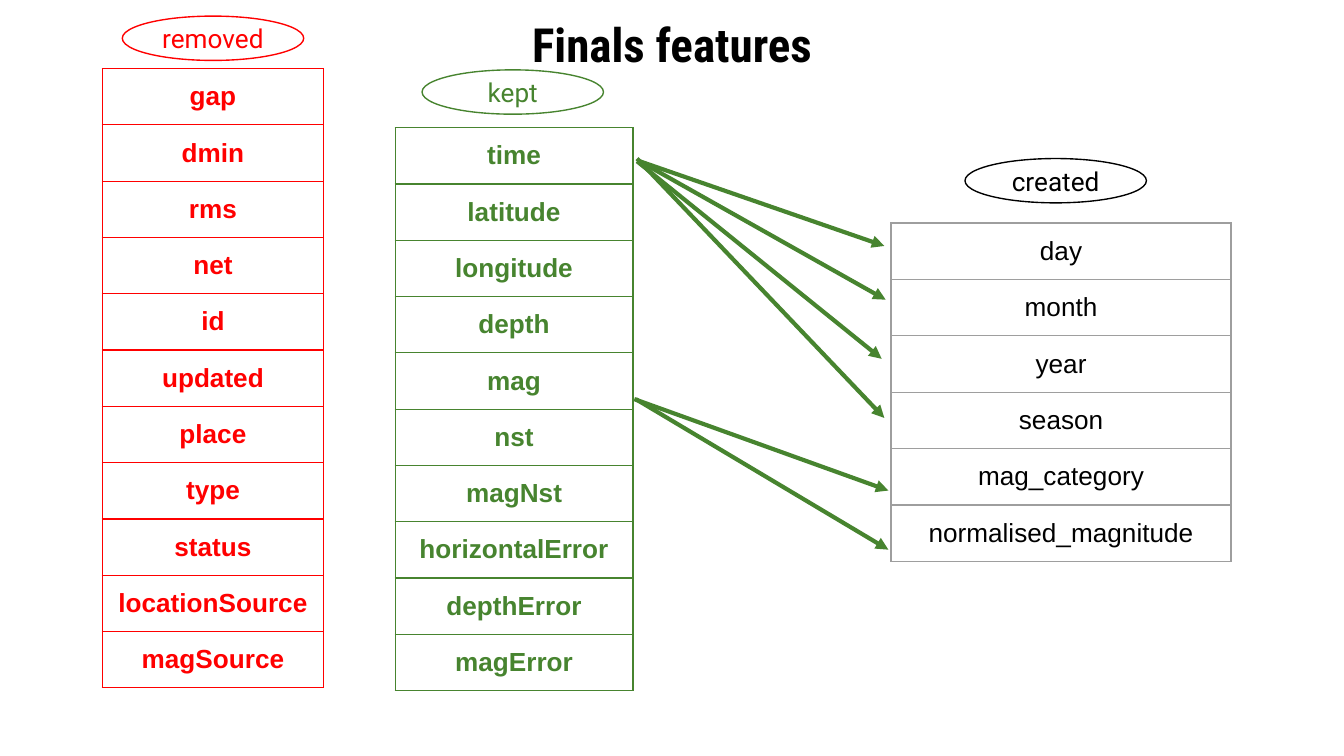
from dataclasses import dataclass

from lxml.etree import SubElement
from pptx import Presentation
from pptx.dml.color import RGBColor
from pptx.enum.shapes import MSO_CONNECTOR, MSO_SHAPE
from pptx.enum.text import MSO_ANCHOR, MSO_AUTO_SIZE, PP_ALIGN
from pptx.oxml.ns import qn
from pptx.util import Inches, Pt


@dataclass(frozen=True)
class Theme:
    black: str = "000000"
    red: str = "FF0000"
    green: str = "47842F"
    grey: str = "9E9E9E"
    title_font: str = "Roboto Condensed"
    label_font: str = "Roboto"
    table_font: str = "Arial"
    title_size: float = 25.2
    body_size: float = 14
    outline: float = 0.75
    arrow: float = 2.25
    inset: float = 0.1


THEME = Theme()

REMOVED = ["gap", "dmin", "rms", "net", "id", "updated", "place", "type",
           "status", "locationSource", "magSource"]
KEPT = ["time", "latitude", "longitude", "depth", "mag", "nst", "magNst",
        "horizontalError", "depthError", "magError"]
CREATED = ["day", "month", "year", "season", "mag_category",
           "normalised_magnitude"]

TIME_ARROWS = [((4.76, 1.2), (6.58, 1.83)), ((4.76, 1.2), (6.59, 2.23)),
               ((4.74, 1.2), (6.56, 2.67)), ((4.74, 1.18), (6.58, 3.11))]
MAG_ARROWS = [((4.72, 2.97), (6.61, 3.65)), ((4.73, 2.97), (6.61, 4.09))]


def write_centred(frame, text, font, size, color, bold=False):
    paragraph = frame.paragraphs[0]
    paragraph.alignment = PP_ALIGN.CENTER
    run = paragraph.add_run()
    run.text = text
    run.font.name = font
    run.font.size = Pt(size)
    run.font.bold = bold
    run.font.color.rgb = RGBColor.from_string(color)


def set_insets(frame):
    frame.margin_left = frame.margin_right = Inches(THEME.inset)
    frame.margin_top = frame.margin_bottom = Inches(THEME.inset)


def add_title(slide, text):
    title = slide.shapes.title
    title.left, title.top = Inches(0.5), Inches(0.12)
    title.width, title.height = Inches(9), Inches(0.41)
    frame = title.text_frame
    frame.auto_size = MSO_AUTO_SIZE.NONE
    frame.vertical_anchor = MSO_ANCHOR.MIDDLE
    set_insets(frame)
    write_centred(frame, text, THEME.title_font, THEME.title_size,
                  THEME.black, bold=True)


def set_borders(cell, color):
    properties = cell._tc.get_or_add_tcPr()
    for side in ("a:lnL", "a:lnR", "a:lnT", "a:lnB"):
        border = SubElement(properties, qn(side), w=str(Pt(THEME.outline)))
        fill = SubElement(border, qn("a:solidFill"))
        SubElement(fill, qn("a:srgbClr"), val=color)


def add_feature_table(slide, features, left, top, width, row_height,
                      text_color, border_color, bold):
    table = slide.shapes.add_table(
        len(features), 1, Inches(left), Inches(top), Inches(width),
        Inches(row_height * len(features))).table
    table.first_row = table.horz_banding = False
    for row, feature in zip(table.rows, features):
        row.height = Inches(row_height)
        cell = row.cells[0]
        set_insets(cell)
        set_borders(cell, border_color)
        cell.fill.background()
        write_centred(cell.text_frame, feature, THEME.table_font,
                      THEME.body_size, text_color, bold)


def add_label(slide, text, left, top, color):
    label = slide.shapes.add_shape(MSO_SHAPE.OVAL, Inches(left), Inches(top),
                                   Inches(1.35), Inches(0.33))
    label.shadow.inherit = False
    label.fill.background()
    label.line.color.rgb = RGBColor.from_string(color)
    label.line.width = Pt(THEME.outline)
    frame = label.text_frame
    frame.word_wrap = False
    frame.vertical_anchor = MSO_ANCHOR.MIDDLE
    set_insets(frame)
    write_centred(frame, text, THEME.label_font, THEME.body_size, color)


def add_arrow_fan(slide, arrows):
    """Group the arrows that lead from one kept feature to its new ones."""
    fan = slide.shapes.add_group_shape()
    for start, end in arrows:
        arrow = fan.shapes.add_connector(
            MSO_CONNECTOR.STRAIGHT, *map(Inches, start + end))
        arrow.line.color.rgb = RGBColor.from_string(THEME.green)
        arrow.line.width = Pt(THEME.arrow)
        SubElement(arrow.line._get_or_add_ln(), qn("a:tailEnd"),
                   type="triangle")
        SubElement(arrow._element.spPr, qn("a:effectLst"))


def main():
    presentation = Presentation()
    presentation.slide_width = Inches(10)
    presentation.slide_height = Inches(10 * 9 / 16)
    slide = presentation.slides.add_slide(presentation.slide_layouts[5])

    add_title(slide, "Finals features")
    add_feature_table(slide, KEPT, 2.94, 0.95, 1.77, 0.4,
                      THEME.green, THEME.green, bold=True)
    add_feature_table(slide, REMOVED, 0.76, 0.51, 1.65, 0.38,
                      THEME.red, THEME.red, bold=True)
    add_feature_table(slide, CREATED, 6.63, 1.66, 2.53, 0.42,
                      THEME.black, THEME.grey, bold=False)
    add_arrow_fan(slide, TIME_ARROWS)
    add_arrow_fan(slide, MAG_ARROWS)
    add_label(slide, "removed", 0.91, 0.12, THEME.red)
    add_label(slide, "kept", 3.14, 0.52, THEME.green)
    add_label(slide, "created", 7.18, 1.18, THEME.black)

    presentation.save("out.pptx")


if __name__ == "__main__":
    main()
